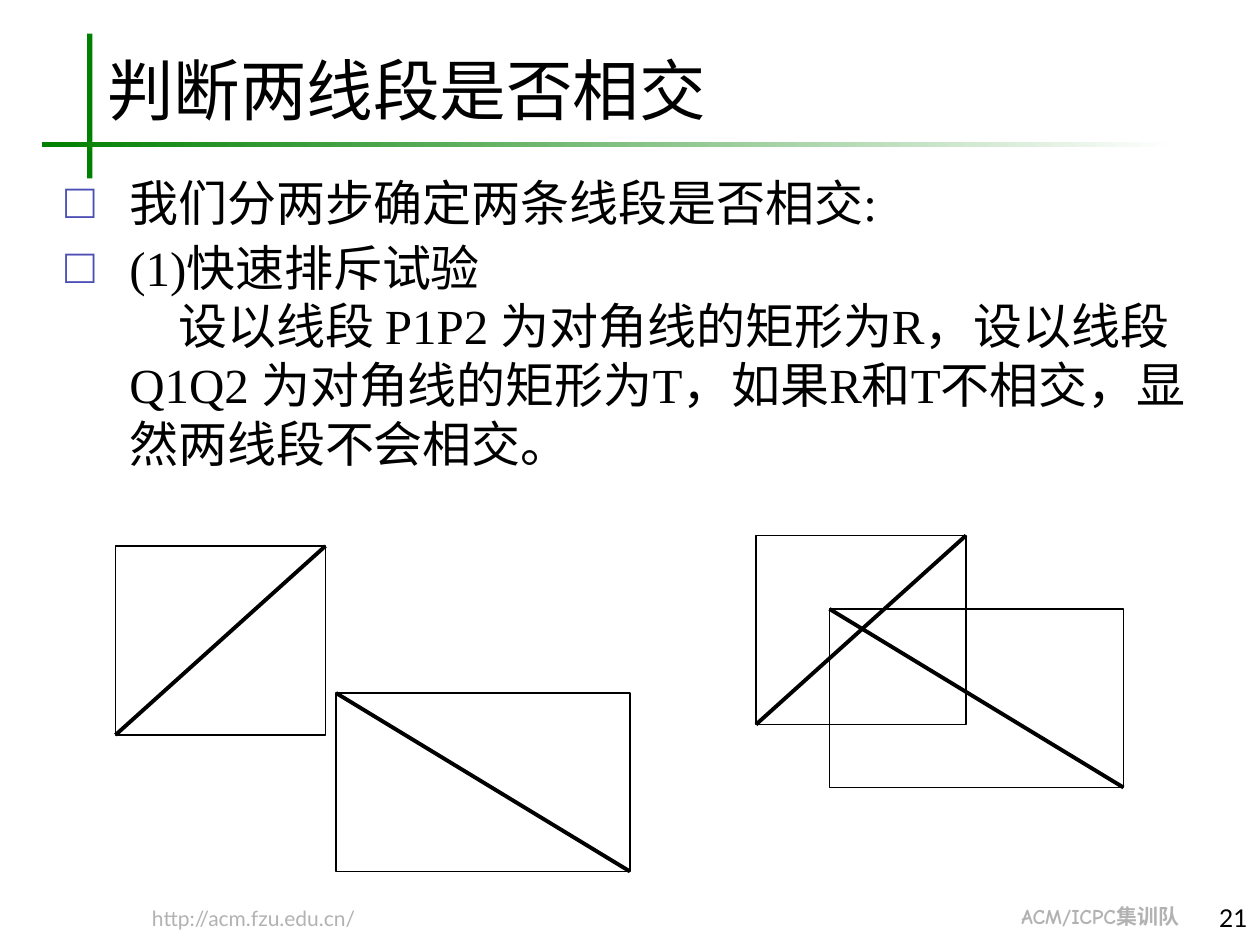
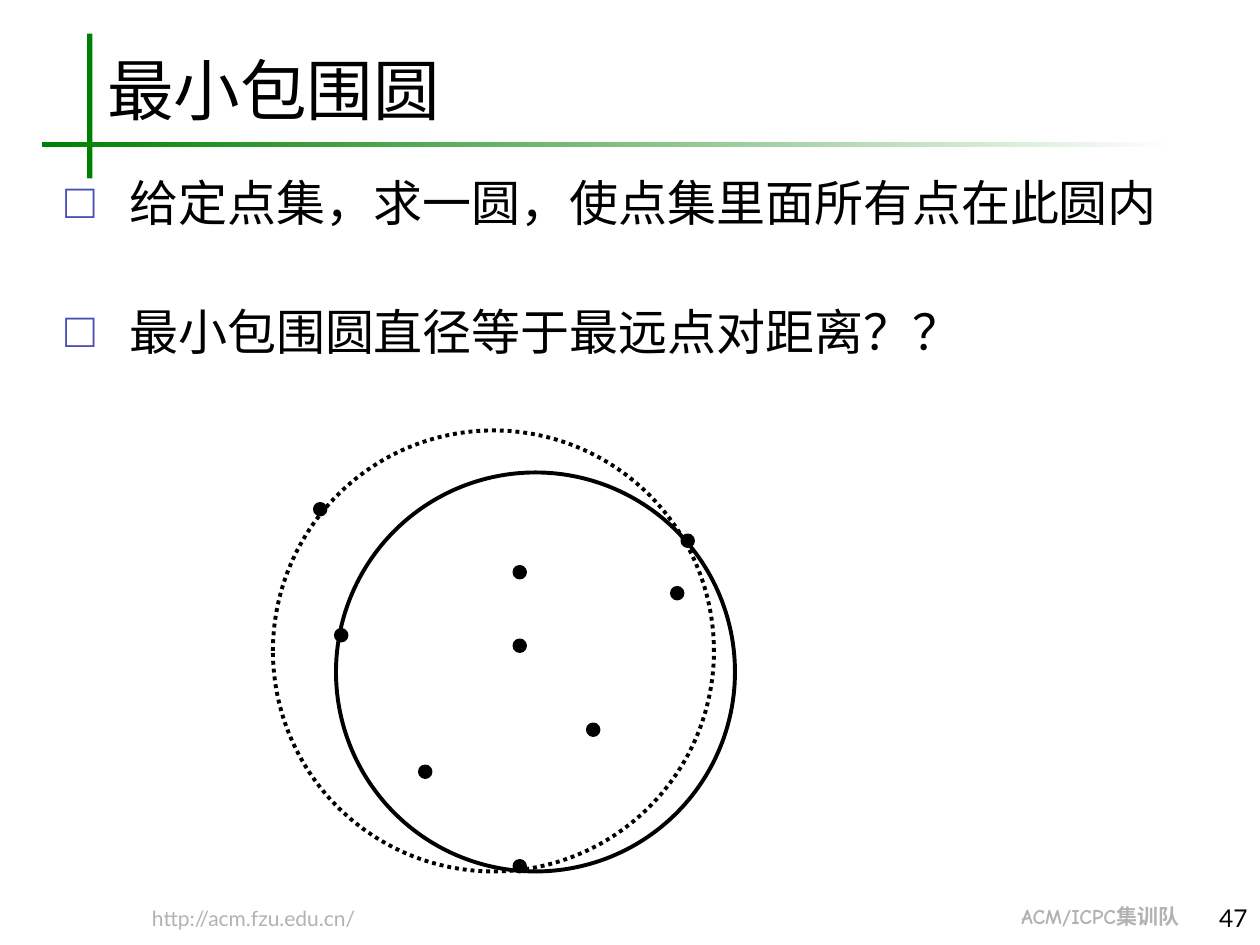
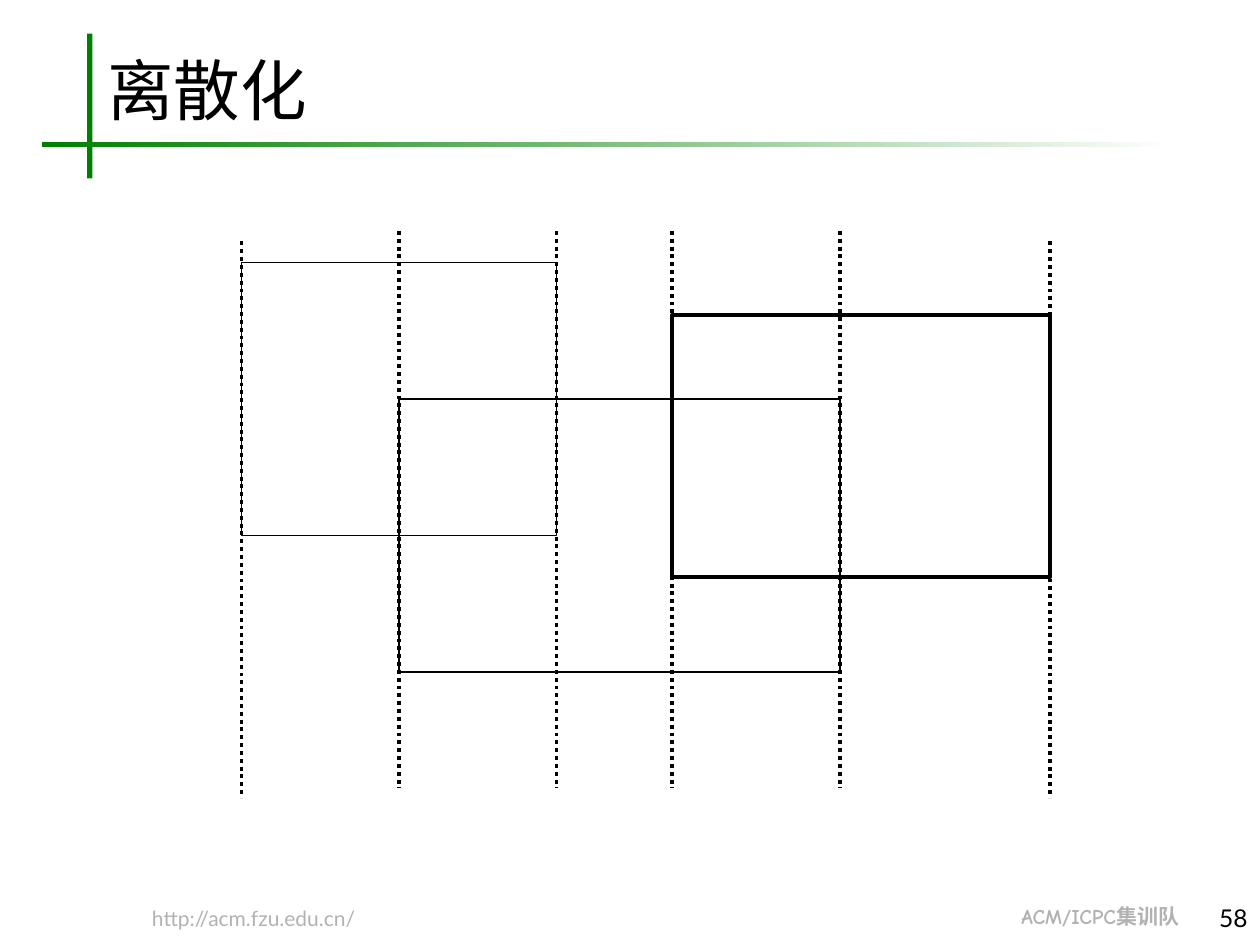
from lxml import etree
from pptx import Presentation
from pptx.dml.color import RGBColor
from pptx.enum.dml import MSO_LINE
from pptx.enum.shapes import MSO_CONNECTOR, MSO_SHAPE
from pptx.enum.text import MSO_ANCHOR, MSO_AUTO_SIZE, PP_ALIGN
from pptx.oxml.ns import qn
from pptx.util import Inches, Pt

RECT, OVAL = MSO_SHAPE.RECTANGLE, MSO_SHAPE.OVAL
STRAIGHT, DOTS = MSO_CONNECTOR.STRAIGHT, MSO_LINE.ROUND_DOT
TOP, BOTTOM = MSO_ANCHOR.TOP, MSO_ANCHOR.BOTTOM
LEFT, RIGHT = PP_ALIGN.LEFT, PP_ALIGN.RIGHT
FIXED = MSO_AUTO_SIZE.NONE

COLS, ROWS = 120, 90
CELL = Inches(10) / COLS
THIN, BOLD = 0.75, 2.25
SERIF, SANS, COMIC = "Times New Roman", "Lato", "Comic Neue"
HEX = {"ink": "000000", "green": "008000", "white": "FFFFFF",
       "gray": "B2B2B2", "bullet": "4B4EB5"}


def color(name):
    return RGBColor.from_string(HEX[name])


def grid(*cells):
    """Turn counts of grid cells into lengths."""
    return [round(n * CELL) for n in cells]


def place(shape, *box):
    shape.left, shape.top, shape.width, shape.height = grid(*box)


def set_frame(frame, anchor, pad=0.05):
    frame.word_wrap = True
    frame.auto_size = FIXED
    frame.vertical_anchor = anchor
    frame.margin_left = frame.margin_right = Inches(0.1)
    frame.margin_top = frame.margin_bottom = Inches(pad)


def style(para, size, face, tint="ink", bold=False, align=LEFT):
    para.alignment = align
    font = para.font
    font.size, font.name, font.bold = Pt(size), face, bold
    font.color.rgb = color(tint)


def add_bullet(para):
    props = para._p.get_or_add_pPr()
    props.set("marL", str(Inches(0.51)))
    props.set("indent", str(-Inches(0.51)))
    tint = etree.SubElement(props, qn("a:buClr"))
    etree.SubElement(tint, qn("a:srgbClr"), val=HEX["bullet"])
    etree.SubElement(props, qn("a:buChar"), char="□")


def add_note(slide, box, text, size, face, tint, bold=False,
             align=LEFT, anchor=TOP, pad=0.01, spacing=None):
    frame = slide.shapes.add_textbox(*grid(*box)).text_frame
    set_frame(frame, anchor, pad)
    para = frame.paragraphs[0]
    para.text = text
    para.line_spacing = spacing
    style(para, size, face, tint, bold, align)


def add_band(slide, *box):
    band = slide.shapes.add_shape(RECT, *grid(*box))
    band.shadow.inherit = False
    band.line.fill.background()
    return band.fill


def add_page(deck, layout, title, number):
    """Add a slide with the shared title, bands and footers."""
    slide = deck.slides.add_slide(deck.slide_layouts[layout])
    fill = add_band(slide, 8.3, 3.2, 0.5, 13.8)
    fill.solid()
    fill.fore_color.rgb = color("green")
    fill = add_band(slide, 4, 13.5, 108, 0.5)
    fill.gradient()
    fill.gradient_angle = 0
    for stop, name in zip(fill.gradient_stops, ("green", "white")):
        stop.color.rgb = color(name)

    head = slide.shapes.title
    place(head, 9, 4, 107, 8.9)
    set_frame(head.text_frame, BOTTOM)
    head.text_frame.text = title
    style(head.text_frame.paragraphs[0], 38, SERIF)

    add_note(slide, (13.3, 86.6, 31, 2.2), "http://acm.fzu.edu.cn/",
             12, SANS, "gray", spacing=0.8)
    add_note(slide, (96.1, 86.4, 20, 2.2), "ACM/ICPC集训队",
             12, COMIC, "gray", bold=True, spacing=0.8)
    add_note(slide, (112, 85.4, 8, 4), number, 14, SANS, "ink",
             align=RIGHT, anchor=BOTTOM, pad=0.05)
    return slide


def fill_body(slide, lines, gap=3.5):
    body = slide.placeholders[1]
    place(body, 5, 15.8, 111, 68.2)
    frame = body.text_frame
    set_frame(frame, TOP)
    for i, line in enumerate(lines):
        para = frame.add_paragraph() if i else frame.paragraphs[0]
        para.text = line
        add_bullet(para)
        para.space_before = Pt(gap if i else 0)
        style(para, 28, SERIF)


def set_line(line, width, dash=None):
    line.color.rgb = color("ink")
    line.width = Pt(width)
    if dash:
        line.dash_style = dash


def add_form(slide, kind, box, width=THIN, dash=None, solid=False):
    form = slide.shapes.add_shape(kind, *grid(*box))
    form.shadow.inherit = False
    if solid:
        form.fill.solid()
        form.fill.fore_color.rgb = color("ink")
    else:
        form.fill.background()
    set_line(form.line, width, dash)


def add_line(slide, ends, dash=None):
    line = slide.shapes.add_connector(STRAIGHT, *grid(*ends))
    etree.SubElement(line._element.spPr, qn("a:effectLst"))
    set_line(line.line, BOLD, dash)


def add_crossed(slide, x, y, wide, high, rising):
    """Draw a box with one diagonal."""
    add_form(slide, RECT, (x, y, wide, high))
    start, end = (y + high, y) if rising else (y, y + high)
    add_line(slide, (x, start, x + wide, end))


def draw_cross(deck):
    slide = add_page(deck, 1, "判断两线段是否相交", "21")
    fill_body(slide, [
        "我们分两步确定两条线段是否相交:",
        "(1)快速排斥试验\n　设以线段 P1P2 为对角线的矩形为R，设以线段 Q1Q2 "
        "为对角线的矩形为T，如果R和T不相交，显然两线段不会相交。"])
    for x, y in ((11, 52), (72, 51)):
        add_crossed(slide, x, y, 20, 18, True)
    for x, y in ((32, 66), (79, 58)):
        add_crossed(slide, x, y, 28, 17, False)


def draw_circle(deck):
    slide = add_page(deck, 1, "最小包围圆", "47")
    fill_body(slide, ["给定点集，求一圆，使点集里面所有点在此圆内",
                      "最小包围圆直径等于最远点对距离？？"], gap=40)
    add_form(slide, OVAL, (26, 41, 42, 42), BOLD, DOTS)
    add_form(slide, OVAL, (32, 45, 38, 38), BOLD)
    dots = ((32, 60), (49, 61), (64, 56), (40, 73), (49, 54),
            (56, 69), (30, 48), (49, 82), (65, 51))
    for x, y in dots:
        add_form(slide, OVAL, (x, y, 1, 1), BOLD, solid=True)


def draw_sweep(deck):
    slide = add_page(deck, 5, "离散化", "58")
    boxes = ((23, 25, 30, 26, THIN), (38, 38, 42, 26, THIN),
             (64, 30, 36, 25, BOLD))
    for *box, width in boxes:
        add_form(slide, RECT, box, width)
    edges = sorted(x for left, _, wide, *_ in boxes
                   for x in (left, left + wide))
    for x in edges:
        top = 23 if x in (edges[0], edges[-1]) else 22
        add_line(slide, (x, top, x, top + 53), DOTS)


def main():
    deck = Presentation()
    deck.slide_width, deck.slide_height = grid(COLS, ROWS)
    draw_cross(deck)
    draw_circle(deck)
    draw_sweep(deck)
    deck.save("out.pptx")


if __name__ == "__main__":
    main()
